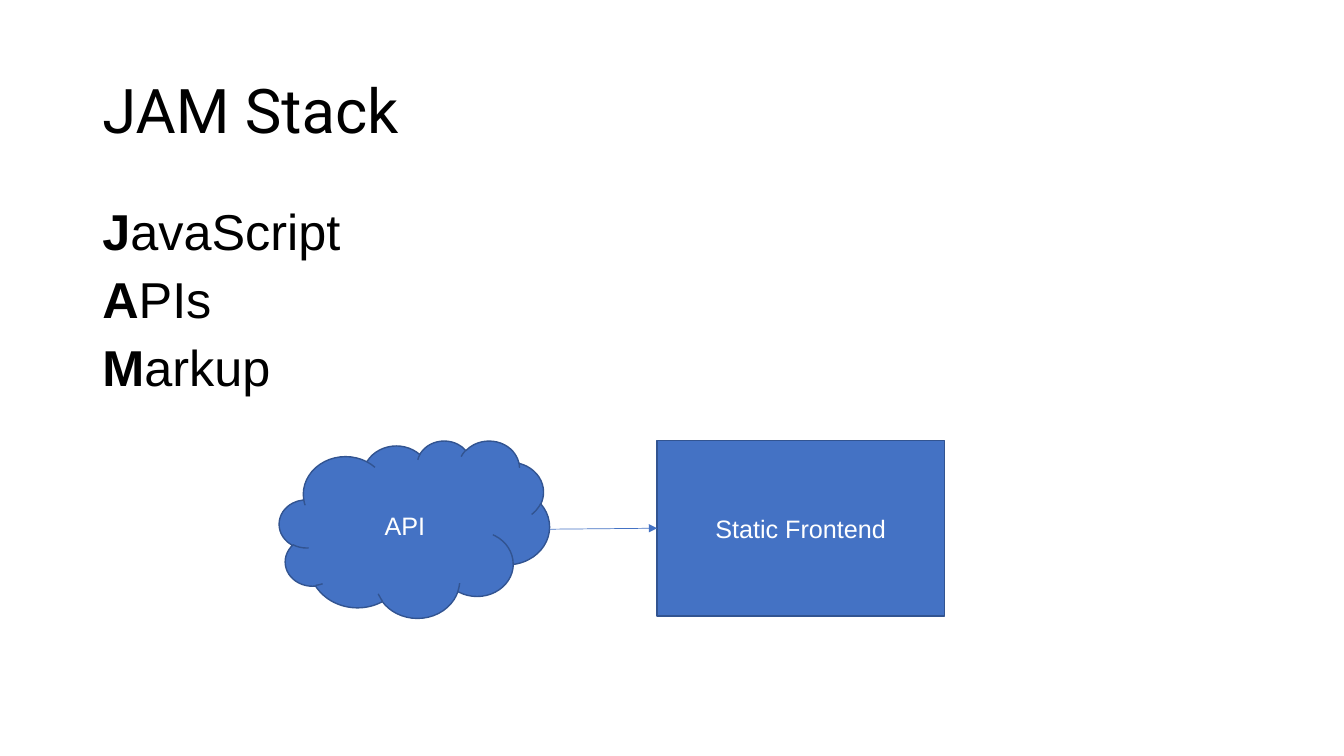
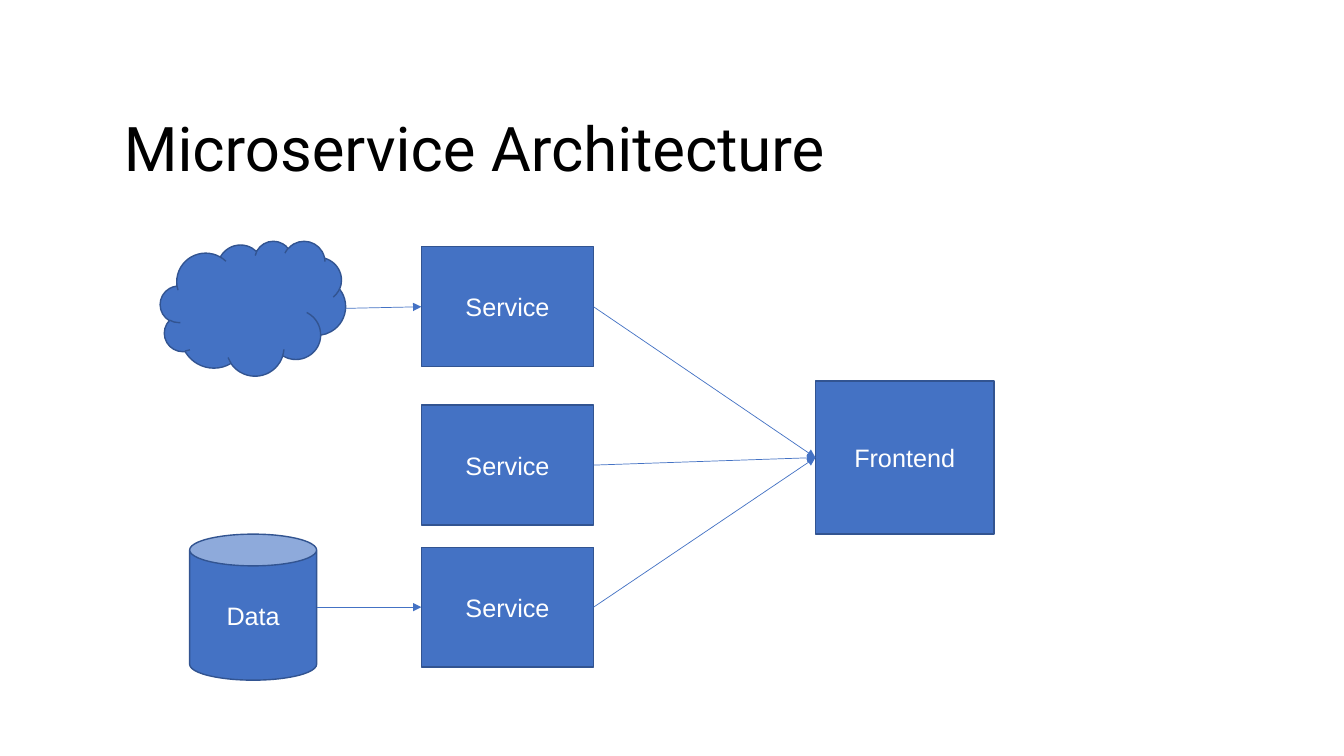
from lxml.etree import SubElement as Sub
from pptx import Presentation as Deck
from pptx.dml.color import RGBColor
from pptx.enum.shapes import MSO_CONNECTOR as Link, MSO_SHAPE as Kind
from pptx.enum.text import MSO_ANCHOR as Anchor, PP_ALIGN as Align
from pptx.oxml.ns import qn
from pptx.util import Cm, Pt


def tint(code):
    return RGBColor.from_string(code)


def put(target, values):
    for name, value in values.items():
        setattr(target, name, value)


class Page:
    """Holds the shared style and the slide being drawn."""

    fill, edge, black, white = "4472C4", "325491", "000000", "FFFFFF"
    head = {"name": "Roboto", "size": Pt(44)}
    body = {"name": "Arial", "size": Pt(36)}
    label = {"name": "Arial", "size": Pt(18)}

    def __init__(self):
        self.deck = Deck()
        put(self.deck, {"slide_width": Cm(33.87), "slide_height": Cm(19.05)})

    def start(self, title, left, top):
        self.slide = self.deck.slides.add_slide(self.deck.slide_layouts[6])
        frame = self.frame(left, top, 29.21, 3.68, Anchor.MIDDLE)
        para = frame.paragraphs[0]
        para.line_spacing = 0.9
        self.run(para, title, self.head, self.black)

    def frame(self, left, top, width, height, anchor):
        box = self.slide.shapes.add_textbox(*map(Cm, (left, top, width, height)))
        put(box.text_frame, {"word_wrap": True, "vertical_anchor": anchor})
        return box.text_frame

    def run(self, para, text, style, color, bold=False):
        run = para.add_run()
        run.text = text
        put(run.font, {**style, "bold": bold})
        run.font.color.rgb = tint(color)

    def words(self, items, left, top, width, height):
        frame = self.frame(left, top, width, height, Anchor.TOP)
        for count, word in enumerate(items):
            para = frame.add_paragraph() if count else frame.paragraphs[0]
            put(para, {"line_spacing": 0.9, "space_before": Pt(10 if count else 0)})
            self.run(para, word[0], self.body, self.black, True)
            self.run(para, word[1:], self.body, self.black)

    def node(self, kind, text, left, top, width, height):
        shape = self.slide.shapes.add_shape(kind, *map(Cm, (left, top, width, height)))
        shape.shadow.inherit = False
        shape.fill.solid()
        shape.fill.fore_color.rgb = tint(self.fill)
        shape.line.color.rgb = tint(self.edge)
        shape.line.width = Pt(1)
        put(shape.text_frame, {"word_wrap": True, "vertical_anchor": Anchor.MIDDLE})
        if text:
            para = shape.text_frame.paragraphs[0]
            para.alignment = Align.CENTER
            self.run(para, text, self.label, self.white)
        return shape

    def arrow(self, start, end):
        line = self.slide.shapes.add_connector(
            Link.STRAIGHT,
            start.left + start.width, start.top + start.height // 2,
            end.left, end.top + end.height // 2)
        line.line.color.rgb = tint(self.fill)
        line.line.width = Pt(0.5)
        Sub(line.line._get_or_add_ln(), qn("a:tailEnd"), type="triangle")
        Sub(line._element.spPr, qn("a:effectLst"))


def main():
    page = Page()

    page.start("JAM Stack", 2.33, 1.02)
    page.words(["JavaScript", "APIs", "Markup"], 2.33, 5.08, 29.21, 5.66)
    cloud = page.node(Kind.CLOUD, "API", 7.04, 11.1, 6.81, 4.47)
    front = page.node(Kind.RECTANGLE, "Static Frontend", 16.56, 11.1, 7.24, 4.42)
    page.arrow(cloud, front)

    page.start("Microservice Architecture", 2.87, 1.98)
    tasks = [page.node(Kind.RECTANGLE, "Service", 10.62, top, 4.34, 3.02)
             for top in (6.22, 10.21, 13.79)]
    data = page.node(Kind.CAN, "Data", 4.78, 13.46, 3.2, 3.68)
    front = page.node(Kind.RECTANGLE, "Frontend", 20.55, 9.6, 4.5, 3.86)
    cloud = page.node(Kind.CLOUD, "", 4.04, 6.07, 4.67, 3.4)
    for task in tasks:
        page.arrow(task, front)
    page.arrow(cloud, tasks[0])
    page.arrow(data, tasks[-1])

    page.deck.save("out.pptx")


if __name__ == "__main__":
    main()
